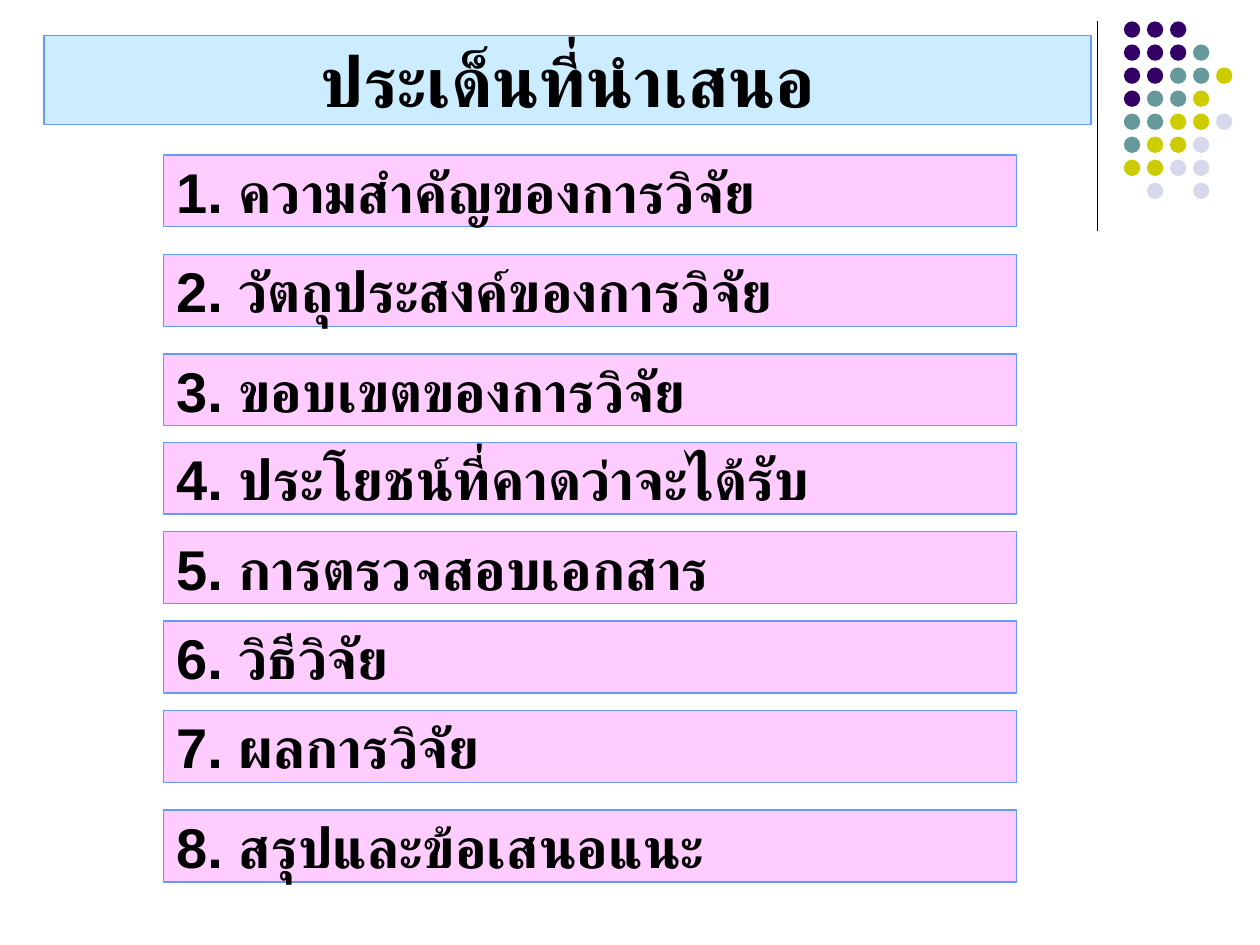
"""Build the agenda slide of a Thai research presentation."""
from typing import NamedTuple

from lxml import etree
from pptx import Presentation
from pptx.dml.color import RGBColor
from pptx.enum.shapes import MSO_CONNECTOR, MSO_SHAPE
from pptx.enum.text import MSO_ANCHOR, PP_ALIGN
from pptx.oxml.ns import qn
from pptx.util import Inches, Pt

RECTANGLE, OVAL = MSO_SHAPE.RECTANGLE, MSO_SHAPE.OVAL
STRAIGHT = MSO_CONNECTOR.STRAIGHT
MIDDLE = MSO_ANCHOR.MIDDLE
LEFT, CENTER = PP_ALIGN.LEFT, PP_ALIGN.CENTER

BLACK = RGBColor(0x00, 0x00, 0x00)
BORDER_BLUE = RGBColor(0x66, 0x99, 0xFF)
TITLE_BLUE = RGBColor(0xCC, 0xEC, 0xFF)
TOPIC_PINK = RGBColor(0xFF, 0xCC, 0xFF)
PURPLE = RGBColor(0x33, 0x00, 0x66)
TEAL = RGBColor(0x66, 0x99, 0x99)
OLIVE = RGBColor(0xCC, 0xCC, 0x00)
LAVENDER = RGBColor(0xD8, 0xD8, 0xEC)

DOT_COLORS = {"P": PURPLE, "T": TEAL, "O": OLIVE, "L": LAVENDER}
DOT_ROWS = ("PPP", "PPPT", "PPTTO", "PTTO", "TTOOL", "TOOL", "OOLL", ".L.L")
DOT_LEFT, DOT_TOP, DOT_SIZE = Inches(8.92), Inches(0.17), Inches(0.13)
DOT_PITCH = Inches(1.28) / 7


class Topic(NamedTuple):
    top: float
    label: str


TOPICS = (
    Topic(1.23, "ความสำคัญของการวิจัย"),
    Topic(2.02, "วัตถุประสงค์ของการวิจัย"),
    Topic(2.81, "ขอบเขตของการวิจัย"),
    Topic(3.51, "ประโยชน์ที่คาดว่าจะได้รับ"),
    Topic(4.22, "การตรวจสอบเอกสาร"),
    Topic(4.93, "วิธีวิจัย"),
    Topic(5.64, "ผลการวิจัย"),
    Topic(6.43, "สรุปและข้อเสนอแนะ"),
)


def write_text(frame, text: str, *, size: int, align=LEFT) -> None:
    frame.word_wrap = True
    frame.vertical_anchor = MIDDLE
    paragraph = frame.paragraphs[0]
    paragraph.alignment = align
    run = paragraph.add_run()
    run.text = text
    run.font.name = "Arial"
    run.font.size = Pt(size)
    run.font.bold = True
    run.font.color.rgb = BLACK


def add_filled(shapes, kind, left: int, top: int, width: int, height: int, fill: RGBColor):
    shape = shapes.add_shape(kind, left, top, width, height)
    shape.shadow.inherit = False
    shape.fill.solid()
    shape.fill.fore_color.rgb = fill
    shape.line.fill.background()
    return shape


def add_banner(shapes, left: float, top: float, width: float, height: float,
               fill: RGBColor, text: str, **text_format) -> None:
    banner = add_filled(shapes, RECTANGLE, Inches(left), Inches(top),
                        Inches(width), Inches(height), fill)
    banner.line.color.rgb = BORDER_BLUE
    banner.line.width = Pt(0.75)
    write_text(banner.text_frame, text, **text_format)


def add_divider(shapes) -> None:
    divider = shapes.add_connector(STRAIGHT, Inches(8.71), Inches(0.17),
                                   Inches(8.71), Inches(1.83))
    divider.line.color.rgb = BLACK
    divider.line.width = Pt(0.75)
    etree.SubElement(divider.element.spPr, qn("a:effectLst"))


def add_dots(shapes) -> None:
    dots = shapes.add_group_shape()
    for row, codes in enumerate(DOT_ROWS):
        for column, code in enumerate(codes):
            if code in DOT_COLORS:
                add_filled(dots.shapes, OVAL,
                           round(DOT_LEFT + column * DOT_PITCH),
                           round(DOT_TOP + row * DOT_PITCH),
                           DOT_SIZE, DOT_SIZE, DOT_COLORS[code])


def main() -> None:
    presentation = Presentation()
    presentation.slide_width = Inches(10)
    presentation.slide_height = Inches(7.5)
    shapes = presentation.slides.add_slide(presentation.slide_layouts[6]).shapes
    add_divider(shapes)
    add_dots(shapes)
    add_banner(shapes, 0.35, 0.28, 8.31, 0.71, TITLE_BLUE,
               "ประเด็นที่นำเสนอ", size=40, align=CENTER)
    for number, topic in enumerate(TOPICS, start=1):
        add_banner(shapes, 1.3, topic.top, 6.77, 0.57, TOPIC_PINK,
                   f"{number}. {topic.label}", size=32)
    presentation.save("out.pptx")


if __name__ == "__main__":
    main()
